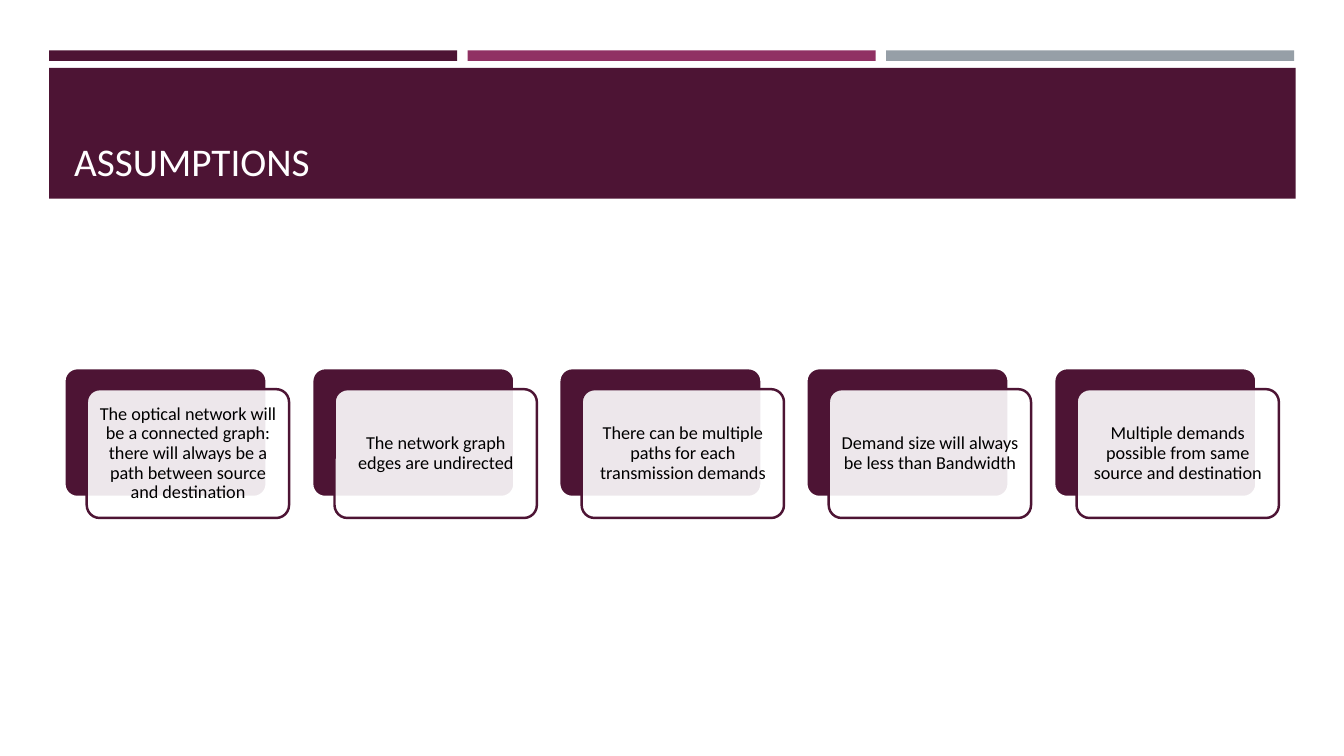
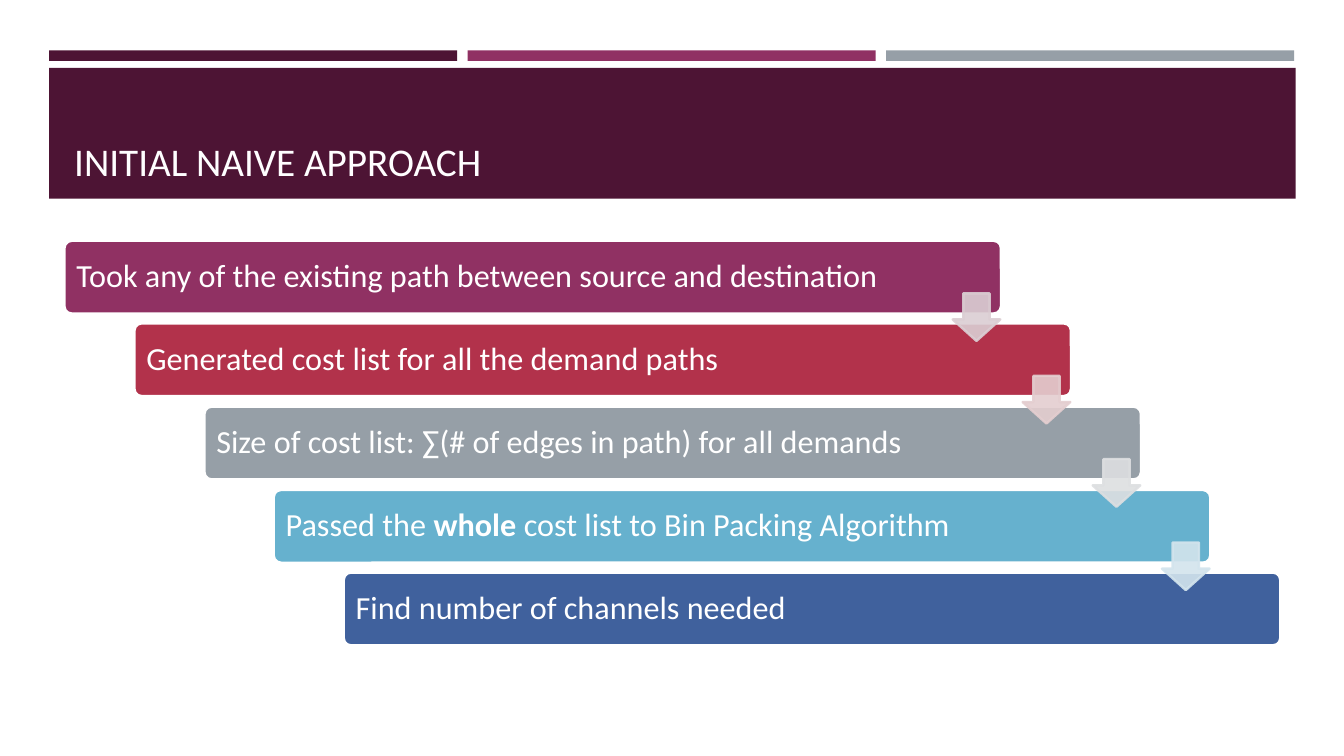
from dataclasses import dataclass

from lxml.etree import SubElement
from pptx import Presentation
from pptx.dml.color import RGBColor
from pptx.enum.shapes import MSO_SHAPE
from pptx.enum.text import MSO_ANCHOR, PP_ALIGN
from pptx.oxml.ns import qn
from pptx.util import Pt

RECT = MSO_SHAPE.RECTANGLE
ROUNDED = MSO_SHAPE.ROUNDED_RECTANGLE
DOWN_ARROW = MSO_SHAPE.DOWN_ARROW
BOTTOM = MSO_ANCHOR.BOTTOM
MIDDLE = MSO_ANCHOR.MIDDLE
LEFT = PP_ALIGN.LEFT
CENTER = PP_ALIGN.CENTER

EMU_PER_PX = 6350
SLIDE_WIDTH, SLIDE_HEIGHT = 1920, 1080


@dataclass(frozen=True)
class Theme:
    font: str = "Calibri"
    plum: str = "4D1434"
    magenta: str = "903163"
    red: str = "B2324B"
    grey: str = "969FA7"
    sky: str = "66B1CE"
    blue: str = "40619D"
    white: str = "FFFFFF"
    black: str = "000000"
    title_ink: str = "FFFEFF"
    title_size: int = 28
    card_size: int = 13
    step_size: int = 23
    outline: float = 1.75
    corner: float = 0.1
    opacity: int = 90


THEME = Theme()


@dataclass(frozen=True)
class Box:
    left: int
    top: int
    width: int
    height: int

    def emu(self) -> tuple[int, ...]:
        return tuple(
            px * EMU_PER_PX
            for px in (self.left, self.top, self.width, self.height)
        )


@dataclass(frozen=True)
class Look:
    fill: str
    line: str | None = None
    fill_opacity: int = 100
    line_opacity: int = 100
    adjustments: tuple[float, ...] = ()


@dataclass(frozen=True)
class TextStyle:
    size: int
    color: str
    inset_x: int
    inset_y: int
    anchor: MSO_ANCHOR = MIDDLE
    align: PP_ALIGN = LEFT


@dataclass(frozen=True)
class Run:
    text: str
    bold: bool = False


@dataclass(frozen=True)
class Step:
    runs: tuple[Run, ...]
    fill: str
    arrow: str | None = None


TITLE_TEXT = TextStyle(THEME.title_size, THEME.title_ink, 14, 7, BOTTOM)
CARD_TEXT = TextStyle(THEME.card_size, THEME.black, 7, 7, align=CENTER)
STEP_TEXT = TextStyle(THEME.step_size, THEME.white, 14, 14)

TOP_BARS = (THEME.plum, THEME.magenta, THEME.grey)
ASSUMPTIONS = (
    "The optical network will be a connected graph: there will always be a path between source and destination",
    "The network graph edges are undirected",
    "There can be multiple paths for each transmission demands",
    "Demand size will always be less than Bandwidth",
    "Multiple demands possible from same source and destination",
)
STEPS = (
    Step(
        (Run("Took any of the existing path between source and destination"),),
        THEME.magenta,
        "DBCED3",
    ),
    Step((Run("Generated cost list for all the demand paths"),), THEME.red, "E4CED0"),
    Step(
        (Run("Size of cost list: ∑(# of edges in path) for all demands"),),
        THEME.grey,
        "DDDFE1",
    ),
    Step(
        (
            Run("Passed the "),
            Run("whole", bold=True),
            Run(" cost list to Bin Packing Algorithm"),
        ),
        THEME.sky,
        "D3E4ED",
    ),
    Step((Run("Find number of channels needed"),), THEME.blue),
)


def apply(target, values: dict) -> None:
    for attribute, value in values.items():
        setattr(target, attribute, value)


def spread(first: int, last: int, count: int) -> list[int]:
    return [round(first + (last - first) * i / (count - 1)) for i in range(count)]


def set_opacity(shape, color_path: str, percent: int) -> None:
    if percent < 100:
        for color in shape.element.spPr.xpath(color_path):
            SubElement(color, qn("a:alpha")).set("val", str(percent * 1000))


def draw(slide, kind: MSO_SHAPE, box: Box, look: Look):
    shape = slide.shapes.add_shape(kind, *box.emu())
    shape.shadow.inherit = False
    for index, value in enumerate(look.adjustments):
        shape.adjustments[index] = value
    shape.fill.solid()
    shape.fill.fore_color.rgb = RGBColor.from_string(look.fill)
    if look.line:
        shape.line.color.rgb = RGBColor.from_string(look.line)
        shape.line.width = Pt(THEME.outline)
    else:
        shape.line.fill.background()
    set_opacity(shape, "./a:solidFill/a:srgbClr", look.fill_opacity)
    set_opacity(shape, "./a:ln/a:solidFill/a:srgbClr", look.line_opacity)
    return shape


def write(shape, runs: tuple[Run, ...], style: TextStyle) -> None:
    frame = shape.text_frame
    apply(
        frame,
        {
            "word_wrap": True,
            "vertical_anchor": style.anchor,
            "margin_left": style.inset_x * EMU_PER_PX,
            "margin_right": style.inset_x * EMU_PER_PX,
            "margin_top": style.inset_y * EMU_PER_PX,
            "margin_bottom": style.inset_y * EMU_PER_PX,
        },
    )
    paragraph = frame.paragraphs[0]
    apply(paragraph, {"alignment": style.align, "line_spacing": 0.9})
    for run in runs:
        piece = paragraph.add_run()
        piece.text = run.text
        apply(
            piece.font,
            {"name": THEME.font, "size": Pt(style.size), "bold": run.bold},
        )
        piece.font.color.rgb = RGBColor.from_string(style.color)


def add_titled_slide(deck, title: str):
    slide = deck.slides.add_slide(deck.slide_layouts[6])
    for left, color in zip(spread(70, 1266, len(TOP_BARS)), TOP_BARS):
        draw(slide, RECT, Box(left, 72, 583, 15), Look(color))
    draw(slide, RECT, Box(70, 97, 1781, 187), Look(THEME.plum))
    heading = slide.shapes.add_textbox(*Box(92, 111, 1737, 160).emu())
    write(heading, (Run(title),), TITLE_TEXT)
    return slide


def add_assumptions(deck) -> None:
    slide = add_titled_slide(deck, "ASSUMPTIONS")
    back = Look(THEME.plum, THEME.white, adjustments=(THEME.corner,))
    front = Look(
        THEME.white,
        THEME.plum,
        fill_opacity=THEME.opacity,
        adjustments=(THEME.corner,),
    )
    for left, assumption in zip(spread(92, 1506, len(ASSUMPTIONS)), ASSUMPTIONS):
        draw(slide, ROUNDED, Box(left, 526, 289, 184), back)
        card = draw(slide, ROUNDED, Box(left + 32, 556, 289, 184), front)
        write(card, (Run(assumption),), CARD_TEXT)


def add_approach(deck) -> None:
    slide = add_titled_slide(deck, "INITIAL NAIVE APPROACH")
    lefts = spread(92, 491, len(STEPS))
    tops = spread(344, 818, len(STEPS))
    for left, top, step in zip(lefts, tops, STEPS):
        look = Look(step.fill, THEME.white, adjustments=(THEME.corner,))
        bar = draw(slide, ROUNDED, Box(left, top, 1338, 104), look)
        write(bar, step.runs, STEP_TEXT)
    for left, top, step in zip(lefts, tops, STEPS):
        if step.arrow:
            look = Look(
                step.arrow, step.arrow, THEME.opacity, THEME.opacity, (0.55, 0.45)
            )
            draw(slide, DOWN_ARROW, Box(left + 1269, top + 75, 68, 68), look)


def main() -> None:
    deck = Presentation()
    apply(
        deck,
        {
            "slide_width": SLIDE_WIDTH * EMU_PER_PX,
            "slide_height": SLIDE_HEIGHT * EMU_PER_PX,
        },
    )
    add_assumptions(deck)
    add_approach(deck)
    deck.save("out.pptx")


if __name__ == "__main__":
    main()
